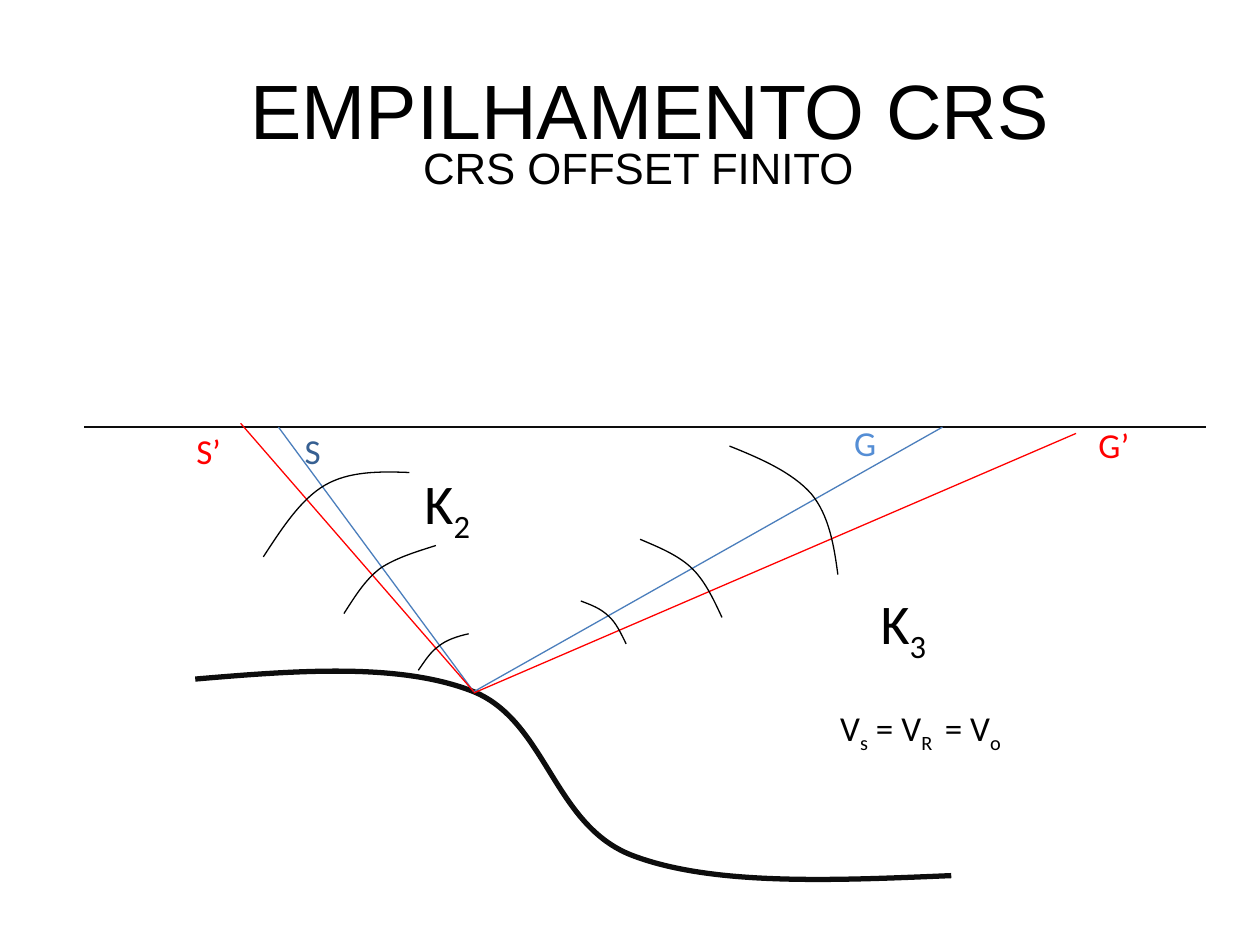
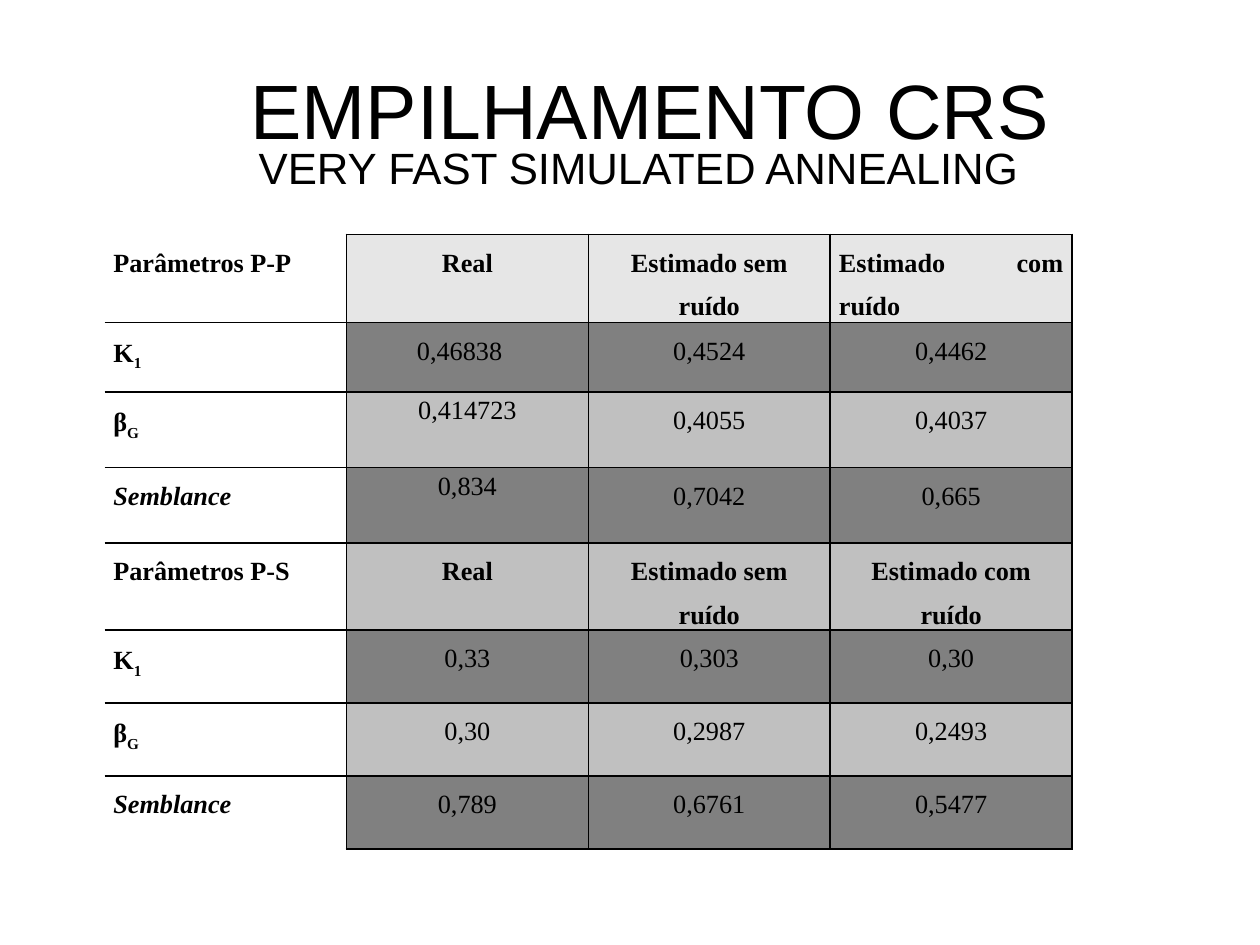
"""Builds two slides on CRS stacking: a finite-offset ray sketch and a table of results."""
from lxml.etree import SubElement
from pptx import Presentation
from pptx.dml.color import RGBColor
from pptx.enum.shapes import MSO_CONNECTOR
from pptx.enum.text import MSO_ANCHOR, MSO_AUTO_SIZE, PP_ALIGN
from pptx.oxml.ns import qn
from pptx.util import Inches, Pt

HUES = {
    "ink": "000000", "rock": "0D0D0D", "ray": "4B7EBC", "red": "FF0000",
    "navy": "376092", "sky": "558ED5", "white": "FFFFFF",
    "pale": "E6E6E6", "mid": "C0C0C0", "dark": "808080",
}
HIT = (3.76, 5.49)

ROCK = [(1.55, 5.39), (2.37, 5.32), (3.18, 5.26), HIT, (4.34, 5.73),
        (4.39, 6.55), (5.02, 6.79), (5.65, 7.03), (6.6, 6.99), (7.55, 6.95)]
WAVES = [
    [(4.97, 5.11), (4.93, 5.03), (4.89, 4.94), (4.83, 4.89), (4.77, 4.83), (4.69, 4.8), (4.61, 4.77)],
    [(5.73, 4.9), (5.66, 4.75), (5.59, 4.6), (5.48, 4.5), (5.37, 4.4), (5.22, 4.34), (5.08, 4.28)],
    [(6.65, 4.56), (6.62, 4.33), (6.58, 4.09), (6.44, 3.92), (6.29, 3.75), (6.04, 3.64), (5.79, 3.54)],
    [(3.72, 5.03), (3.63, 5.05), (3.54, 5.08), (3.48, 5.13), (3.41, 5.18), (3.37, 5.25), (3.32, 5.32)],
    [(3.46, 4.33), (3.3, 4.38), (3.14, 4.43), (3.02, 4.51), (2.9, 4.6), (2.82, 4.73), (2.73, 4.87)],
    [(3.25, 3.75), (3.01, 3.74), (2.77, 3.74), (2.58, 3.85), (2.39, 3.96), (2.24, 4.19), (2.09, 4.42)],
]
LINES = [
    ((0.67, 3.39), (9.57, 3.39), "rock"),
    ((2.21, 3.39), HIT, "ray"),
    (HIT, (7.48, 3.39), "ray"),
    ((1.91, 3.36), HIT, "red"),
    ((3.76, 5.5), (8.54, 3.44), "red"),
]
LABELS = [
    ("S", 2.32, 3.36, 0.54, 20, "navy"),
    ("S’", 1.46, 3.36, 0.91, 20, "red"),
    ("G’", 8.62, 3.31, 0.53, 20, "red"),
    ("G", 6.68, 3.3, 0.53, 20, "sky"),
    ("V_s_ = V_R _ = V_o", 6.57, 5.56, 2.52, 20, "ink"),
    ("K_3", 6.89, 4.62, 0.94, 32, "ink"),
    ("K_2", 3.27, 3.67, 0.94, 32, "ink"),
]
ROWS = [
    ("Parâmetros P-P", "Real", "Estimado sem ruído", "Estimado com ruído"),
    ("K_1", "0,46838", "0,4524", "0,4462"),
    ("β_G", "0,414723", "0,4055", "0,4037"),
    ("Semblance", "0,834", "0,7042", "0,665"),
    ("Parâmetros P-S", "Real", "Estimado sem ruído", "Estimado com ruído"),
    ("K_1", "0,33", "0,303", "0,30"),
    ("β_G", "0,30", "0,2987", "0,2493"),
    ("Semblance", "0,789", "0,6761", "0,5477"),
]
HEIGHTS = [0.7, 0.55, 0.6, 0.6] + [0.58] * 4
HEADS = (0, 4)


def tint(name):
    return RGBColor.from_string(HUES[name])


def write(para, text, size, face, hue="ink", bold=False, slant=False):
    for i, part in enumerate(text.split("_")):
        run = para.add_run()
        run.text = part
        font = run.font
        font.name, font.size, font.bold, font.italic = face, Pt(size), bold, slant
        font.color.rgb = tint(hue)
        if i % 2:
            run._r.get_or_add_rPr().set("baseline", "-25000")


def place(shape, left, top, width, height):
    shape.left, shape.top = Inches(left), Inches(top)
    shape.width, shape.height = Inches(width), Inches(height)


def start(deck, topic):
    slide = deck.slides.add_slide(deck.slide_layouts[1])
    title, body = slide.placeholders
    place(title, 0.91, 0.36, 8.5, 1)
    place(body, 0.67, 1.07, 8.7, 0.55)
    for shape, text, size in ((title, "EMPILHAMENTO CRS", 44), (body, topic, 25)):
        shape.text_frame.auto_size = MSO_AUTO_SIZE.NONE
        para = shape.text_frame.paragraphs[0]
        para.alignment = PP_ALIGN.CENTER
        write(para, text, size, "Arial")
    title.text_frame.vertical_anchor = MSO_ANCHOR.MIDDLE
    para.space_before = Pt(6)
    props = para._p.get_or_add_pPr()
    props.set("marL", str(Inches(0.4)))
    props.set("indent", str(Inches(-0.31)))
    SubElement(props, qn("a:buNone"))
    return slide


def stroke(shape, hue, width):
    shape.line.color.rgb = tint(hue)
    shape.line.width = Pt(width)


def line(slide, tail, tip, hue):
    ends = [Inches(v) for v in (*tail, *tip)]
    link = slide.shapes.add_connector(MSO_CONNECTOR.STRAIGHT, *ends)
    stroke(link, hue, 0.75)
    SubElement(link._element.spPr, qn("a:effectLst"))


def bend(shape):
    """Turn each three straight segments into one cubic curve."""
    track = next(shape._element.iter(qn("a:path")))
    legs = track.findall(qn("a:lnTo"))
    for i in range(0, len(legs), 3):
        cubic = SubElement(track, qn("a:cubicBezTo"))
        for leg in legs[i:i + 3]:
            cubic.append(leg[0])
            track.remove(leg)


def curve(slide, knots, hue, width):
    first, *rest = [(Inches(x), Inches(y)) for x, y in knots]
    pen = slide.shapes.build_freeform(*first)
    pen.add_line_segments(rest, close=False)
    shape = pen.convert_to_shape()
    bend(shape)
    shape.fill.background()
    shape.shadow.inherit = False
    stroke(shape, hue, width)


def label(slide, text, left, top, width, size, hue):
    height = 0.44 if size == 20 else 0.64
    box = slide.shapes.add_textbox(Inches(left), Inches(top), Inches(width), Inches(height))
    box.text_frame.word_wrap = True
    write(box.text_frame.paragraphs[0], text, size, "Calibri", hue)


def edge(cell, side, shown):
    rule = SubElement(cell._tc.get_or_add_tcPr(), qn("a:ln" + side), w=str(Pt(1)))
    if shown:
        fill = SubElement(rule, qn("a:solidFill"))
        SubElement(fill, qn("a:srgbClr"), val=HUES["ink"])
    else:
        SubElement(rule, qn("a:noFill"))


def shade(row, col):
    if col == 0:
        return "white"
    if row == 0:
        return "pale"
    return "dark" if row % 2 else "mid"


def fill(cell, row, col, text):
    cell.margin_left = cell.margin_right = Inches(0.07)
    cell.margin_top = cell.margin_bottom = 0
    shown = {"L": col > 0, "R": True, "T": col > 0 or row > 0,
             "B": col > 0 or row < len(ROWS) - 1}
    for side, seen in shown.items():
        edge(cell, side, seen)
    cell.fill.solid()
    cell.fill.fore_color.rgb = tint(shade(row, col))
    para = cell.text_frame.paragraphs[0]
    flush = col == 0 or (row, col) in ((0, 3), (1, 1))
    para.alignment = PP_ALIGN.JUSTIFY if flush else PP_ALIGN.CENTER
    para.line_spacing = 1.15 if (row, col) in ((2, 1), (3, 1)) else 1.5
    if (row, col) == (1, 1):
        para._p.get_or_add_pPr().set("indent", str(Inches(0.49)))
    write(para, text, 15, "Times New Roman", bold=col == 0 or row in HEADS,
          slant=text == "Semblance")


def grid(slide):
    frame = slide.shapes.add_table(len(ROWS), 4, Inches(0.83), Inches(1.86),
                                   Inches(7.68), Inches(4.99))
    table = frame.table
    table.first_row = table.horz_banding = False
    for row, texts in enumerate(ROWS):
        table.rows[row].height = Inches(HEIGHTS[row])
        for col, text in enumerate(texts):
            fill(table.cell(row, col), row, col, text)


def main():
    deck = Presentation()
    deck.slide_width, deck.slide_height = Inches(10), Inches(7.5)

    sketch = start(deck, "CRS OFFSET FINITO")
    curve(sketch, ROCK, "rock", 3)
    for tail, tip, hue in LINES:
        line(sketch, tail, tip, hue)
    for wave in WAVES:
        curve(sketch, wave, "ink", 0.75)
    for item in LABELS:
        label(sketch, *item)

    grid(start(deck, "VERY FAST SIMULATED ANNEALING"))
    deck.save("out.pptx")


if __name__ == "__main__":
    main()
